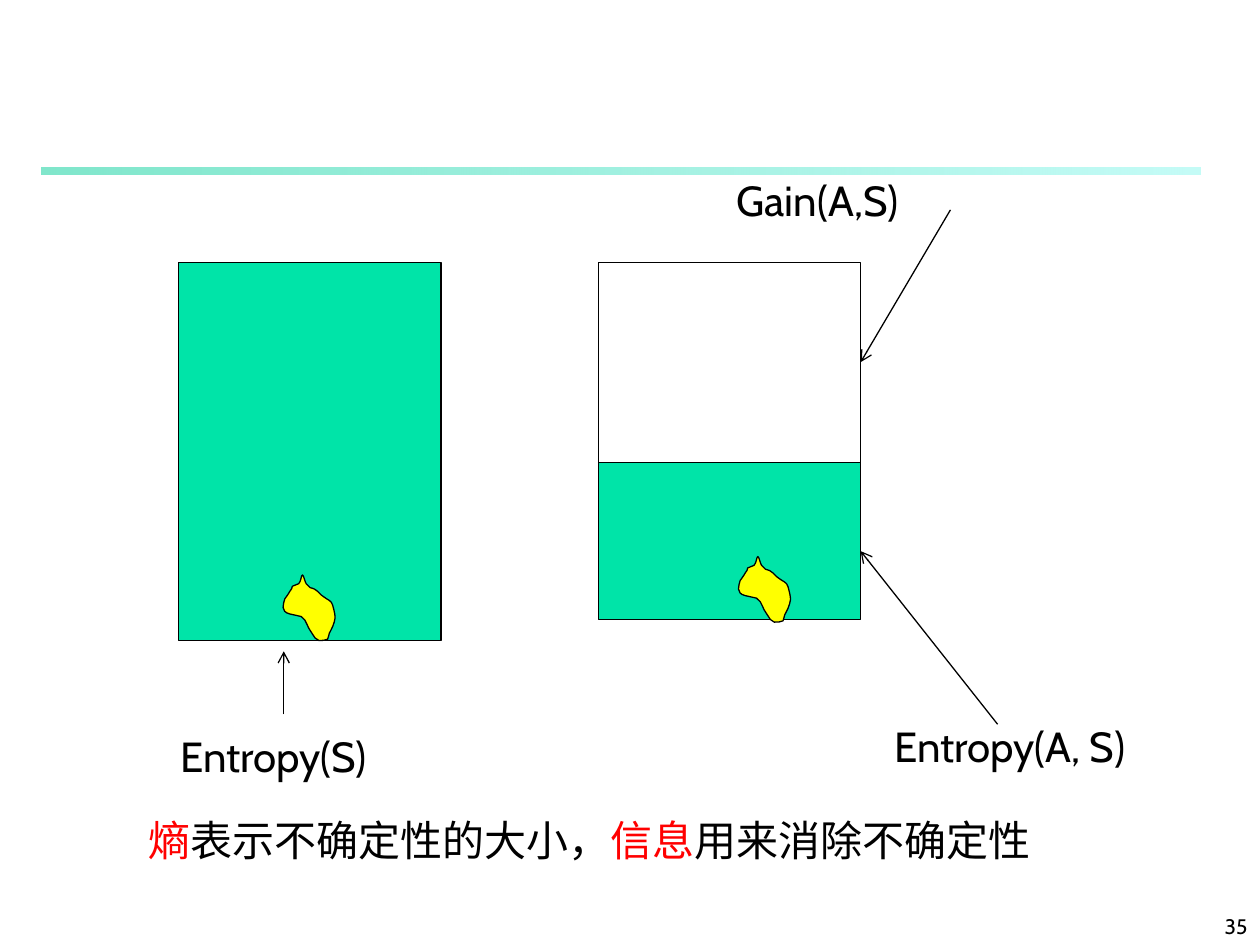
from dataclasses import dataclass

from lxml.etree import SubElement
from pptx import Presentation
from pptx.dml.color import RGBColor
from pptx.enum.shapes import MSO_CONNECTOR as Connector, MSO_SHAPE as Preset
from pptx.enum.text import MSO_ANCHOR as Anchor, PP_ALIGN as Align
from pptx.oxml.ns import qn
from pptx.util import Cm, Pt


@dataclass(frozen=True)
class Theme:
    font: str = "Cabin"
    label_size: Pt = Pt(24)
    page_size: Pt = Pt(12)
    outline: Pt = Pt(0.75)
    ink: RGBColor = RGBColor(0x00, 0x00, 0x00)
    accent: RGBColor = RGBColor(0xFF, 0x00, 0x00)
    level: RGBColor = RGBColor(0x00, 0xE4, 0xA8)
    pebble: RGBColor = RGBColor(0xFF, 0xFF, 0x00)
    rule_start: RGBColor = RGBColor(0x00, 0xCE, 0x98)
    rule_end: RGBColor = RGBColor(0x8F, 0xF9, 0xEF)


THEME = Theme()


@dataclass(frozen=True)
class Box:
    """A place on the slide, in centimetres."""
    left: float
    top: float
    width: float
    height: float

    def emu(self) -> tuple:
        return Cm(self.left), Cm(self.top), Cm(self.width), Cm(self.height)


@dataclass(frozen=True)
class Label:
    box: Box
    runs: tuple  # (text, colour) pairs
    size: Pt = THEME.label_size
    align: Align = Align.LEFT
    anchor: Anchor = Anchor.TOP


@dataclass(frozen=True)
class Arrow:
    start: tuple
    end: tuple


# Pebble outline in hundredths of an inch: two control points and an end point
# for each curve, a single end point for each straight side
PEBBLE_UNIT = Cm(2.54) / 100
PEBBLE_START = (18, 0)
PEBBLE_SIDES = (
    ((17, 0), (17, 5), (15, 7)), ((13, 8), (12, 8), (10, 9)),
    ((10, 10), (9, 12), (8, 13)), ((7, 15), (4, 19), (4, 19)),
    ((3, 23), (0, 29), (8, 31)), ((17, 33),),
    ((18, 34), (19, 35), (20, 36)), ((21, 37), (21, 39), (22, 40)),
    ((23, 43), (25, 45), (26, 47)), ((27, 48), (27, 49), (28, 50)),
    ((31, 52),), ((34, 52), (36, 52), (38, 51)),
    ((39, 49), (39, 46), (40, 45)), ((42, 41),),
    ((44, 35), (45, 35), (42, 24)), ((42, 22), (40, 21), (39, 20)),
    ((37, 19), (33, 16), (33, 16)), ((32, 15), (31, 14), (30, 13)),
    ((28, 11), (27, 11), (24, 10)), ((23, 9), (22, 8), (21, 7)),
    ((20, 6), (19, 0), (18, 0)),
)


def paint(shape, fill: RGBColor | None) -> None:
    shape.shadow.inherit = False
    if fill is None:
        shape.fill.background()
    else:
        shape.fill.solid()
        shape.fill.fore_color.rgb = fill
    shape.line.color.rgb = THEME.ink
    shape.line.width = THEME.outline


def draw_rule(shapes, box: Box) -> None:
    rule = shapes.add_shape(Preset.RECTANGLE, *box.emu())
    rule.shadow.inherit = False
    rule.line.fill.background()
    rule.fill.gradient()
    rule.fill.gradient_angle = 0
    for stop, colour in zip(rule.fill.gradient_stops, (THEME.rule_start, THEME.rule_end)):
        stop.color.rgb = colour
    for colour, opacity in zip(rule.fill._xPr.iter(qn("a:srgbClr")), (50, 52)):
        SubElement(colour, qn("a:alpha")).set("val", str(opacity * 1000))


def draw_block(shapes, box: Box, fill: RGBColor | None) -> None:
    paint(shapes.add_shape(Preset.RECTANGLE, *box.emu()), fill)


def draw_pebble(shapes, left: float, top: float) -> None:
    outline = shapes.build_freeform(*PEBBLE_START, scale=PEBBLE_UNIT)
    outline.add_line_segments([point for side in PEBBLE_SIDES for point in side])
    pebble = outline.convert_to_shape(Cm(left), Cm(top))
    paint(pebble, THEME.pebble)
    # Join the three points of each curved side into one Bézier segment
    segments = iter(list(pebble._element.iter(qn("a:lnTo"))))
    for side in PEBBLE_SIDES:
        curve, *others = [next(segments) for _ in side]
        if others:
            curve.tag = qn("a:cubicBezTo")
        for other in others:
            curve.append(other[0])
            other.getparent().remove(other)


def draw_arrow(shapes, arrow: Arrow) -> None:
    line = shapes.add_connector(Connector.STRAIGHT, *map(Cm, arrow.start + arrow.end))
    line.line.color.rgb = THEME.ink
    line.line.width = THEME.outline
    SubElement(line.line._get_or_add_ln(), qn("a:tailEnd")).set("type", "arrow")
    SubElement(line._element.spPr, qn("a:effectLst"))


def draw_label(shapes, label: Label) -> None:
    frame = shapes.add_textbox(*label.box.emu()).text_frame
    frame.word_wrap = True
    frame.vertical_anchor = label.anchor
    paragraph = frame.paragraphs[0]
    paragraph.alignment = label.align
    paragraph.font.name = THEME.font
    paragraph.font.size = label.size
    for text, colour in label.runs:
        run = paragraph.add_run()
        run.text = text
        run.font.color.rgb = colour


def main() -> None:
    deck = Presentation()
    deck.slide_width, deck.slide_height = Cm(25.4), Cm(19.05)
    shapes = deck.slides.add_slide(deck.slide_layouts[6]).shapes

    # Header rule and page number
    draw_rule(shapes, Box(0.84, 3.38, 23.36, 0.14))
    draw_label(shapes, Label(Box(20.11, 17.99, 5.29, 1.06), (("35", THEME.ink),),
                             THEME.page_size, Align.RIGHT, Anchor.BOTTOM))

    # Full entropy on the left; remaining entropy and gain on the right
    left, right, top, width = 3.6, 12.06, 5.29, 5.29
    full, gain, remaining = 7.62, 4.03, 3.17
    draw_block(shapes, Box(left, top, width, full), THEME.level)
    draw_pebble(shapes, 5.64, 11.59)
    draw_block(shapes, Box(right, top + gain, width, remaining), THEME.level)
    draw_pebble(shapes, 14.82, 11.22)
    draw_block(shapes, Box(right, top, width, gain), None)

    # Arrows to the levels
    edge = right + width
    for arrow in (Arrow((5.72, 14.4), (5.72, 13.13)),
                  Arrow((20.11, 14.6), (edge, 11.11)),
                  Arrow((19.16, 4.23), (edge, 7.3))):
        draw_arrow(shapes, arrow)

    # Level names and conclusion
    ink, accent = THEME.ink, THEME.accent
    for label in (
        Label(Box(3.39, 14.6, 4.87, 1.27), (("Entropy(S)", ink),)),
        Label(Box(17.78, 14.4, 6.77, 1.27), (("Entropy(A, S)", ink),)),
        Label(Box(14.6, 3.39, 9.1, 1.27), (("Gain(A,S)", ink),)),
        Label(Box(2.75, 16.3, 19.05, 1.27),
              (("熵", accent), ("表示不确定性的大小，", ink),
               ("信息", accent), ("用来消除不确定性", ink))),
    ):
        draw_label(shapes, label)

    deck.save("out.pptx")


if __name__ == "__main__":
    main()
